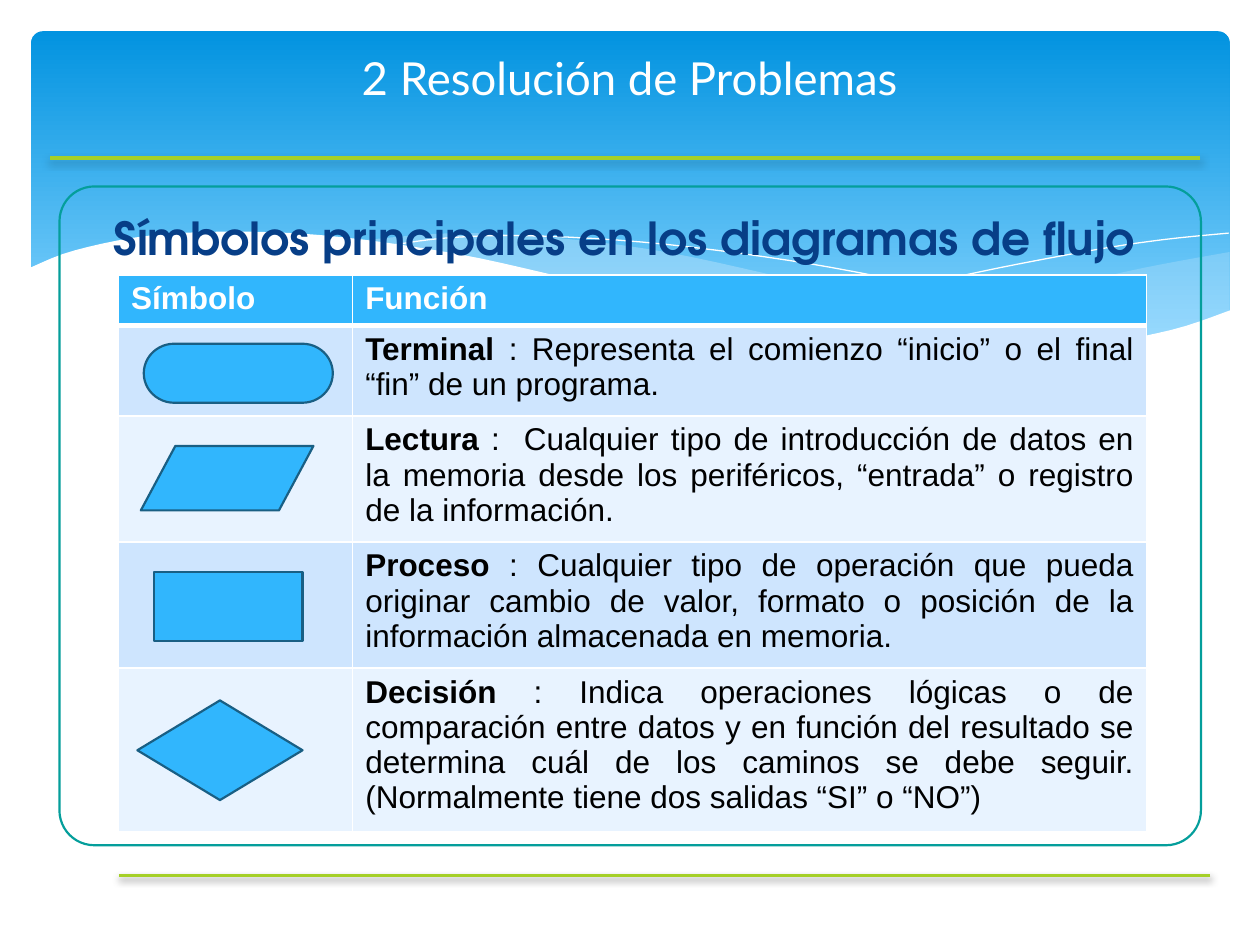
from lxml import etree
from pptx import Presentation
from pptx.dml.color import RGBColor
from pptx.enum.shapes import MSO_CONNECTOR, MSO_SHAPE as Preset
from pptx.enum.text import MSO_ANCHOR as Anchor, PP_ALIGN as Align
from pptx.oxml import parse_xml
from pptx.oxml.ns import nsdecls, qn
from pptx.util import Cm, Pt

COLORS = {
    "sky_top": "0293E0", "sky_bottom": "83D3FE", "wave": "C6E7FC",
    "white": "FFFFFF", "black": "000000", "rule": "A5D028",
    "frame": "049E9B", "heading": "073E87", "symbol": "31B6FD",
    "outline": "195F84", "band_dark": "CEE5FE", "band_light": "E8F3FF",
}

RIGHT_WAVE_TOP = [(24.79, 5.08), (23.01, 5.41), (21.13, 5.84), (19.13, 6.3), (16.79, 6.73)]
RIGHT_WAVE_BOTTOM = [(16.79, 6.73), (18.59, 6.96), (20.4, 7.06), (22.15, 6.96),
                     (23.57, 6.68), (24.79, 6.27)]
LONG_WAVE_TOP = [(7.26, 4.85), (9.17, 4.7), (11.23, 4.8), (13.41, 5.08), (15.98, 5.64),
                 (17.93, 6.1), (20.5, 6.6), (22.68, 6.93)]
LONG_WAVE_BOTTOM = [(22.68, 6.93), (20.5, 7.06), (18.34, 6.96), (16.1, 6.63),
                    (13.46, 6.1), (11.4, 5.64), (9.19, 5.16), (7.26, 4.85)]
FALLING_LINE = [(7.85, 4.95), (8.97, 4.8), (10.57, 4.75), (12.95, 4.88), (15.44, 5.18),
                (17.65, 5.56), (20.19, 6.12), (23.04, 6.91)]
RISING_LINE = [(15.57, 6.53), (17.65, 5.97), (19.71, 5.49), (22, 5.05), (23.47, 4.83),
               (24.77, 4.7)]
WHITE_WAVE_TOP = [(0.58, 5.41), (1.5, 5.05), (3.02, 4.75), (4.9, 4.67), (6.88, 4.78),
                  (9.27, 5.13), (11.35, 5.59), (13.44, 6.07), (15.9, 6.55), (17.98, 6.86),
                  (20.14, 7.02), (21.92, 6.96), (23.62, 6.65), (24.82, 6.25)]
WHITE_WAVE_BASE = [(24.82, 8.36), (0.58, 8.36)]

FUNCTIONS = [
    ("Terminal", " : Representa el comienzo “inicio” o el final “fin” de un programa."),
    ("Lectura ", ":  Cualquier tipo de introducción de datos en la memoria desde los "
                 "periféricos, “entrada” o registro de la información."),
    ("Proceso", " : Cualquier tipo de operación que pueda originar cambio de valor, "
                "formato o posición de la información almacenada en memoria."),
    ("Decisión", " : Indica operaciones lógicas o de comparación entre datos y en función "
                 "del resultado se determina cuál de los caminos se debe seguir. "
                 "(Normalmente tiene dos salidas “SI” o “NO”)"),
]
SYMBOLS = [
    (Preset.FLOWCHART_TERMINATOR, (2.9, 6.93, 3.81, 1.19)),
    (Preset.FLOWCHART_DATA, (2.84, 8.99, 3.48, 1.3)),
    (Preset.FLOWCHART_PROCESS, (3.1, 11.53, 3, 1.4)),
    (Preset.FLOWCHART_DECISION, (2.77, 14.12, 3.33, 2.01)),
]


def color(name):
    return RGBColor.from_string(COLORS[name])


def smooth(points, steps=5):
    """Return a Catmull-Rom curve that passes through the points."""
    padded = [points[0], *points, points[-1]]
    curve = [points[0]]
    for a, b, c, d in zip(padded, padded[1:], padded[2:], padded[3:]):
        for step in range(1, steps + 1):
            t = step / steps
            curve.append(tuple(
                (2 * q + (r - p) * t + (2 * p - 5 * q + 4 * r - s) * t ** 2
                 + (3 * q - p - 3 * r + s) * t ** 3) / 2
                for p, q, r, s in zip(a, b, c, d)))
    return curve


class SlideBuilder:
    def __init__(self, slide):
        self.shapes = slide.shapes

    def finish(self, shape, fill=None, line=None, width=1.25):
        shape.shadow.inherit = False
        if fill:
            shape.fill.solid()
            shape.fill.fore_color.rgb = color(fill)
        else:
            shape.fill.background()
        if line:
            shape.line.color.rgb = color(line)
            shape.line.width = Pt(width)
        else:
            shape.line.fill.background()
        return shape

    def preset(self, kind, place, corner=None, **style):
        shape = self.shapes.add_shape(kind, *map(Cm, place))
        if corner is not None:
            shape.adjustments[0] = corner
        return self.finish(shape, **style)

    def sky(self, place):
        shape = self.preset(Preset.ROUNDED_RECTANGLE, place, corner=0.034)
        shape.fill.gradient()
        shape.fill.gradient_angle = 270
        stops = zip(shape.fill.gradient_stops, ("sky_top", "sky_bottom"), (0, 0.9))
        for stop, name, position in stops:
            stop.color.rgb = color(name)
            stop.position = position

    def outline(self, points, closed=True, opacity=None, **style):
        """Draw a freeform; opacity is a percentage of its fill."""
        corners = [(Cm(x), Cm(y)) for x, y in points]
        builder = self.shapes.build_freeform(*corners[0])
        builder.add_line_segments(corners[1:], close=closed)
        shape = self.finish(builder.convert_to_shape(), **style)
        if opacity:
            fill_color = shape.fill._xPr.find(qn("a:solidFill"))[0]
            etree.SubElement(fill_color, qn("a:alpha"), val=str(opacity * 1000))

    def rule(self, start, end, y):
        line = self.shapes.add_connector(MSO_CONNECTOR.STRAIGHT, *map(Cm, (start, y, end, y)))
        line.line.color.rgb = color("rule")
        line.line.width = Pt(2)
        line._element.spPr.append(parse_xml(
            f'<a:effectLst {nsdecls("a")}><a:outerShdw blurRad="{Pt(4)}" dist="{Pt(2)}" '
            f'dir="5400000" rotWithShape="0"><a:srgbClr val="{COLORS["black"]}">'
            '<a:alpha val="38000"/></a:srgbClr></a:outerShdw></a:effectLst>'))

    def span(self, para, text, size, font, ink, bold=False):
        span = para.add_run()
        span.text = text
        span.font.size = Pt(size)
        span.font.name = font
        span.font.bold = bold
        span.font.color.rgb = color(ink)

    def text(self, place, text, anchor, **style):
        frame = self.shapes.add_textbox(*map(Cm, place)).text_frame
        frame.word_wrap = True
        frame.vertical_anchor = anchor
        para = frame.paragraphs[0]
        para.alignment = Align.CENTER
        self.span(para, text, **style)

    def cell(self, cell, fill, top=1, bottom=1):
        properties = cell._tc.get_or_add_tcPr()
        for side, width in (("L", 1), ("R", 1), ("T", top), ("B", bottom)):
            properties.append(parse_xml(
                f'<a:ln{side} {nsdecls("a")} w="{Pt(width)}"><a:solidFill>'
                f'<a:srgbClr val="{COLORS["white"]}"/></a:solidFill></a:ln{side}>'))
        cell.fill.solid()
        cell.fill.fore_color.rgb = color(fill)

    def table(self, place, widths, heights, headers, functions):
        table = self.shapes.add_table(
            len(heights), len(widths), *map(Cm, place)).table
        table.horz_banding = False
        for column, width in zip(table.columns, widths):
            column.width = Cm(width)
        for row, height in zip(table.rows, heights):
            row.height = Cm(height)
        style = {"size": 18, "font": "Arial"}
        for index, header in enumerate(headers):
            cell = table.cell(0, index)
            self.cell(cell, "symbol", bottom=3)
            self.span(cell.text_frame.paragraphs[0], header, ink="white", bold=True, **style)
        for index, (name, description) in enumerate(functions, start=1):
            for column in range(len(widths)):
                self.cell(table.cell(index, column), "band_dark" if index % 2 else "band_light",
                          top=3 if index == 1 else 1)
            para = table.cell(index, 1).text_frame.paragraphs[0]
            para.alignment = Align.JUSTIFY
            self.span(para, name, ink="black", bold=True, **style)
            self.span(para, description, ink="black", **style)


def main():
    deck = Presentation()
    deck.slide_width, deck.slide_height = Cm(25.4), Cm(19.05)
    page = SlideBuilder(deck.slides.add_slide(deck.slide_layouts[6]))

    page.sky((0.63, 0.63, 24.16, 6.86))
    page.outline(smooth(RIGHT_WAVE_TOP) + smooth(RIGHT_WAVE_BOTTOM), fill="wave", opacity=29)
    page.outline(smooth(LONG_WAVE_TOP) + smooth(LONG_WAVE_BOTTOM), fill="wave", opacity=40)
    for points in (FALLING_LINE, RISING_LINE):
        page.outline(smooth(points), closed=False, line="white", width=0)
    page.outline(smooth(WHITE_WAVE_TOP) + WHITE_WAVE_BASE, fill="white")

    page.rule(24.2, 1, 3.18)
    page.rule(24.4, 2.4, 17.65)
    page.preset(Preset.ROUNDED_RECTANGLE, (1.2, 3.76, 23.01, 13.28), corner=0.053, line="frame")
    page.text((1.5, 4.11, 22.2, 12.65), "Símbolos principales en los diagramas de flujo",
              Anchor.TOP, size=26, font="TeX Gyre Adventor", ink="heading", bold=True)
    page.text((0, 0, 25.4, 3.12), "2 Resolución de Problemas",
              Anchor.MIDDLE, size=26, font="Lato", ink="white")

    page.table((2.39, 5.54, 20.73, 11.23), (4.72, 16), (0.97,) + (1.83,) * 4,
               ("Símbolo", "Función"), FUNCTIONS)
    for kind, place in SYMBOLS:
        page.preset(kind, place, fill="symbol", line="outline")

    deck.save("out.pptx")


if __name__ == "__main__":
    main()
